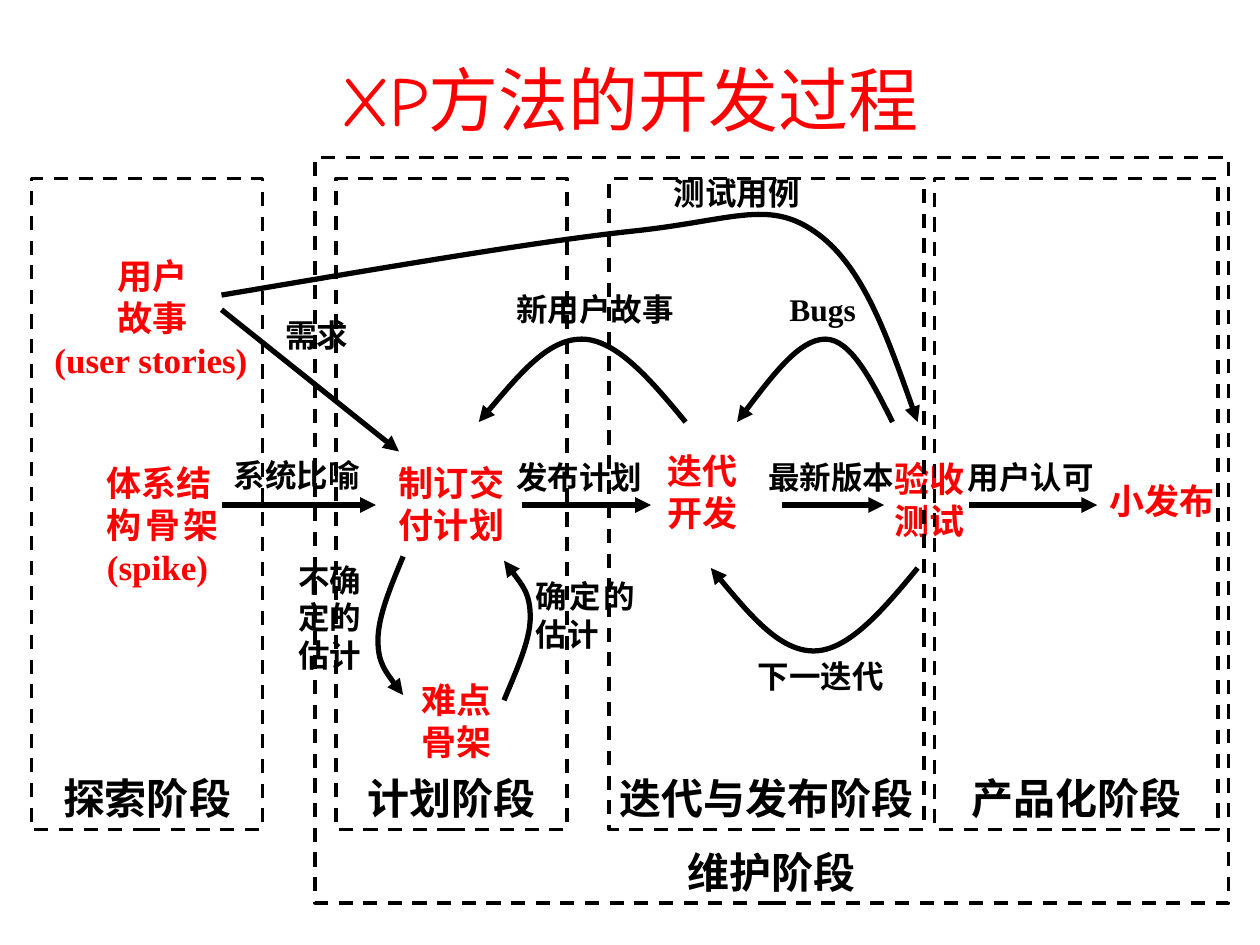
from lxml import etree
from pptx import Presentation
from pptx.dml.color import RGBColor
from pptx.enum.dml import MSO_LINE
from pptx.enum.shapes import MSO_CONNECTOR, MSO_SHAPE
from pptx.enum.text import MSO_ANCHOR, PP_ALIGN
from pptx.oxml.ns import qn
from pptx.util import Inches, Pt

DASH = MSO_LINE.DASH
LINE = MSO_CONNECTOR.STRAIGHT
RECT = MSO_SHAPE.RECTANGLE
TOP, BOTTOM = MSO_ANCHOR.TOP, MSO_ANCHOR.BOTTOM
LEFT, MID, JUST = PP_ALIGN.LEFT, PP_ALIGN.CENTER, PP_ALIGN.JUSTIFY

COLORS = {"red": "FF0000", "black": "000000"}
FONT, HEAD = "Times New Roman", "Comic Neue"
TITLE = "XP方法的开发过程"

# All places are in cells of a grid 120 wide and 90 high.
COLS, ROWS = 120, 90
CELL = Inches(10) / COLS
PAD = (1.2, 0.6)

# Phase name, left, width
PHASES = [("探索阶段", 3, 22), ("计划阶段", 32, 22),
          ("迭代与发布阶段", 58, 30), ("产品化阶段", 89, 27)]
FRAMES = [(name, left, 17, wide, 62) for name, left, wide in PHASES]
FRAMES.append(("维护阶段", 30, 15, 87, 71))

# Lines, left, top, width, height, padding, alignment
STEPS = [
    (["用户", "故事", "(user stories)"], 4, 24.2, 28, 13.8, (1.2, 0), JUST),
    (["体系结", "构骨架(spike)"], 9, 43.4, 13, 13.6, PAD, JUST),
    (["制订交", "付计划"], 38, 43.4, 12.2, 9.6, (0, 0.6), JUST),
    (["迭代", "开发"], 62, 42.8, 9.8, 10.6, (0, 0), MID),
    (["验收", "测试"], 85.2, 43, 9.8, 10.6, (0, 0.6), JUST),
    (["小发布"], 105.7, 45.7, 10.2, 5.3, (0, 0), JUST),
    (["难点", "骨架"], 39, 64, 12.2, 13.2, PAD, LEFT),
]
NOTES = [
    (["不确定的估计"], 28.4, 53.4, 7.3, 10.6, (0, 0), LEFT),
    (["确定的估计"], 51, 55, 9.5, 10.6, (0, 0), JUST),
]
# Text, left, top
LABELS = [("系统比喻", 21.1, 42.8), ("发布计划", 48, 43), ("最新版本", 72, 43),
          ("用户认可", 91, 43), ("下一迭代", 71, 62), ("Bugs", 74, 27),
          ("新用户故事", 48, 27), ("测试用例", 63, 16), ("需求", 26, 29.5)]
NOTES += [([text], left, top, 19 if len(text) > 4 else 14.8, 8, PAD, JUST)
          for text, left, top in LABELS]

FLOW = 48.1
ARROWS = [((a, FLOW), (b, FLOW)) for a, b in
          [(21.1, 35.8), (49.7, 62), (74.5, 84.2), (92.3, 104.5)]]
ARROWS.append(((21.1, 29.5), (38, 43)))

# Start point, then three Bezier points for each segment
CURVES = [
    [(87.4, 54.1), (84.1, 58.1), (80.8, 62), (77.5, 62),
     (74.3, 62), (71, 58.1), (67.7, 54.1)],
    [(65.3, 40.2), (62, 36.2), (58.7, 32.3), (55.4, 32.3),
     (52.2, 32.3), (49, 36.2), (45.6, 40.2)],
    [(85, 40.2), (83, 36.2), (81, 32.3), (78.6, 32.3),
     (76.2, 32.3), (73.2, 36.2), (70.2, 40.2)],
    [(21.1, 28.1), (36, 25.6), (51, 23), (60.4, 22), (69.7, 21),
     (73.1, 19), (77.5, 22), (82.1, 25.1), (84.7, 32.6), (87.4, 40.2)],
    [(48, 66.7), (49.2, 63.8), (50.5, 61), (50.5, 58.8),
     (50.5, 56.5), (49.2, 55), (48, 53.4)],
    [(38.4, 53), (37.2, 55.9), (36, 58.7), (36, 61),
     (36, 63.1), (37.2, 64.7), (38.4, 66.2)],
]


def grid(*nums):
    return [round(n * CELL) for n in nums]


def write(shape, lines, size, color, align, anchor, pad=PAD, font=FONT, bold=True):
    frame = shape.text_frame
    frame.text = "\n".join(lines)
    frame.vertical_anchor = anchor
    frame.margin_left = frame.margin_right = grid(pad[0])[0]
    frame.margin_top = frame.margin_bottom = grid(pad[1])[0]
    for para in frame.paragraphs:
        para.alignment = align
        for run in para.runs:
            run.font.name, run.font.size, run.font.bold = font, Pt(size), bold
            run.font.color.rgb = RGBColor.from_string(COLORS[color])
    return frame


def ink(shape, width):
    shape.line.color.rgb = RGBColor.from_string(COLORS["black"])
    shape.line.width = Pt(width)


def tip(shape):
    """Put an arrowhead at the end of a line."""
    ink(shape, 3)
    etree.SubElement(shape.line._get_or_add_ln(), qn("a:tailEnd"), type="triangle")


def bend(shape):
    """Turn each three straight segments into one cubic curve."""
    track = next(shape._element.iter(qn("a:path")))
    legs = track.findall(qn("a:lnTo"))
    for i in range(0, len(legs), 3):
        cubic = etree.SubElement(track, qn("a:cubicBezTo"))
        for leg in legs[i:i + 3]:
            cubic.append(leg[0])
            track.remove(leg)


def add_text(shapes, item, size, color):
    lines, left, top, wide, high, pad, align = item
    box = shapes.add_textbox(*grid(left, top, wide, high))
    frame = write(box, lines, size, color, align, TOP, pad)
    frame.word_wrap = True
    return frame


def main():
    deck = Presentation()
    deck.slide_width, deck.slide_height = grid(COLS, ROWS)
    slide = deck.slides.add_slide(deck.slide_layouts[5])
    shapes = slide.shapes

    title = shapes.title
    title.left, title.top, title.width, title.height = grid(9, 4, 102, 10)
    write(title, [TITLE], 40, "red", MID, BOTTOM, font=HEAD, bold=False)

    for item in NOTES:
        add_text(shapes, item, 18, "black")
    texts = [add_text(shapes, item, 20, "red") for item in STEPS]
    for para in texts[0].paragraphs[:2]:
        para._p.get_or_add_pPr().set("marL", str(Inches(0.5)))

    for start, end in ARROWS:
        line = shapes.add_connector(LINE, *grid(*start, *end))
        tip(line)
        etree.SubElement(line._element.spPr, qn("a:effectLst"))

    for points in CURVES:
        start, *rest = [grid(*point) for point in points]
        form = shapes.build_freeform(*start)
        form.add_line_segments(rest, close=False)
        curve = form.convert_to_shape()
        bend(curve)
        curve.fill.background()
        curve.shadow.inherit = False
        tip(curve)

    for name, *place in FRAMES:
        phase = shapes.add_shape(RECT, *grid(*place))
        phase.fill.background()
        phase.shadow.inherit = False
        ink(phase, 2)
        phase.line.dash_style = DASH
        write(phase, [name], 24, "black", MID, BOTTOM).word_wrap = False

    deck.save("out.pptx")


if __name__ == "__main__":
    main()
